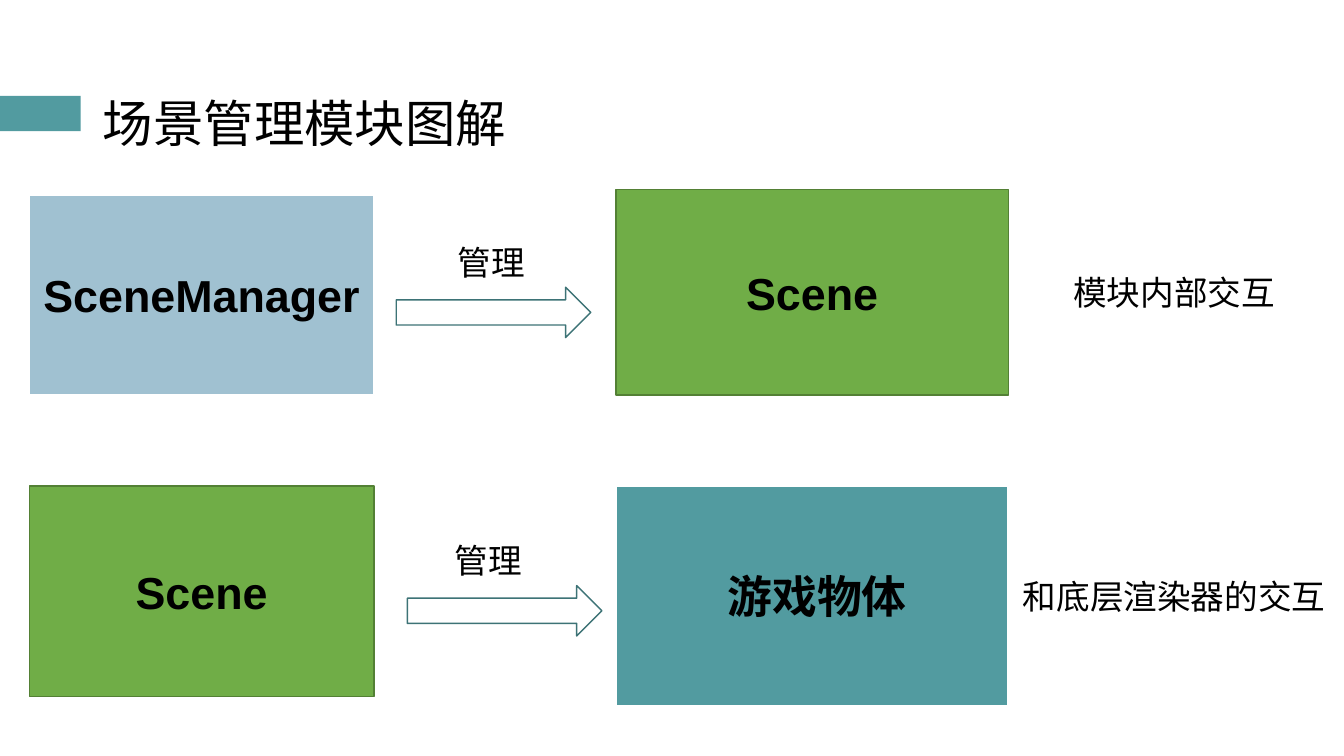
from pptx import Presentation
from pptx.dml.color import RGBColor
from pptx.enum.shapes import MSO_SHAPE
from pptx.enum.text import MSO_ANCHOR, MSO_AUTO_SIZE, PP_ALIGN
from pptx.util import Pt

RECT, ARROW = MSO_SHAPE.RECTANGLE, MSO_SHAPE.RIGHT_ARROW
LEFT, CENTER = PP_ALIGN.LEFT, PP_ALIGN.CENTER
TOP, MIDDLE = MSO_ANCHOR.TOP, MSO_ANCHOR.MIDDLE
NO_FIT = MSO_AUTO_SIZE.NONE

# Content: lengths in px, 100 px to the inch
SLIDE = (1333, 750)
TITLE = ("场景管理模块图解", (92, 43, 1150, 145))
ACCENT = (0, 95, 80, 35)
BOX_X, BOX_W = (29, 611), (342, 389)
ARROW_SIZE = (193, 50)
LABEL_H = 50
ROWS = [
    {"boxes": [("SceneManager", "blue", 193, 199), ("Scene", "green", 188, 204)],
     "arrow": (393, 285),
     "labels": [("管理", LEFT, 444, 235, 91), ("模块内部交互", CENTER, 1028, 265, 273)]},
    {"boxes": [("Scene", "green", 482, 209), (" 游戏物体", "teal", 482, 218)],
     "arrow": (404, 581),
     "labels": [("管理", LEFT, 441, 531, 94), ("和底层渲染器的交互", CENTER, 1000, 566, 329)]},
]

# Theme: each style is fill, line colour, line width in points
THEME = {
    "font": "Arial",
    "text": "000000",
    "title": 36, "box": 32, "label": 24,
    "styles": {
        "blue": ("A0C1D1", "FFFFFF", 1.5),
        "green": ("70AD47", "538035", 1),
        "teal": ("529BA0", "FFFFFF", 1.5),
        "arrow": ("FFFFFF", "3D7376", 1),
        "accent": ("529BA0", None, 0),
    },
}
PX = 9144


def emu(lengths):
    return [n * PX for n in lengths]


def write(sp, text, size, align, anchor, bold=False, spacing=1.0):
    tf = sp.text_frame
    frame_format = {"word_wrap": True, "auto_size": NO_FIT, "vertical_anchor": anchor}
    for name, value in frame_format.items():
        setattr(tf, name, value)
    p = tf.paragraphs[0]
    p.alignment, p.line_spacing = align, spacing
    r = p.add_run()
    r.text = text
    font_format = {"name": THEME["font"], "size": Pt(THEME[size]), "bold": bold}
    for name, value in font_format.items():
        setattr(r.font, name, value)
    r.font.color.rgb = RGBColor.from_string(THEME["text"])


def add_shape(s, kind, rect, style):
    fill, line, width = THEME["styles"][style]
    sp = s.shapes.add_shape(kind, *emu(rect))
    sp.shadow.inherit = False
    sp.fill.solid()
    sp.fill.fore_color.rgb = RGBColor.from_string(fill)
    if line:
        sp.line.color.rgb = RGBColor.from_string(line)
        sp.line.width = Pt(width)
    else:
        sp.line.fill.background()
    return sp


def main():
    prs = Presentation()
    prs.slide_width, prs.slide_height = emu(SLIDE)
    s = prs.slides.add_slide(prs.slide_layouts[5])

    # Title and accent bar
    text, rect = TITLE
    title = s.shapes.title
    for name, value in zip(("left", "top", "width", "height"), emu(rect)):
        setattr(title, name, value)
    write(title, text, "title", LEFT, MIDDLE, spacing=1.2)
    add_shape(s, RECT, ACCENT, "accent")

    # One row per interaction: two boxes, the arrow between, two labels
    for row in ROWS:
        for (text, style, y, h), x, w in zip(row["boxes"], BOX_X, BOX_W):
            sp = add_shape(s, RECT, (x, y, w, h), style)
            write(sp, text, "box", CENTER, MIDDLE, bold=True)
        add_shape(s, ARROW, row["arrow"] + ARROW_SIZE, "arrow")
        for text, align, x, y, w in row["labels"]:
            sp = s.shapes.add_textbox(*emu((x, y, w, LABEL_H)))
            write(sp, text, "label", align, TOP)

    prs.save("out.pptx")


if __name__ == "__main__":
    main()
